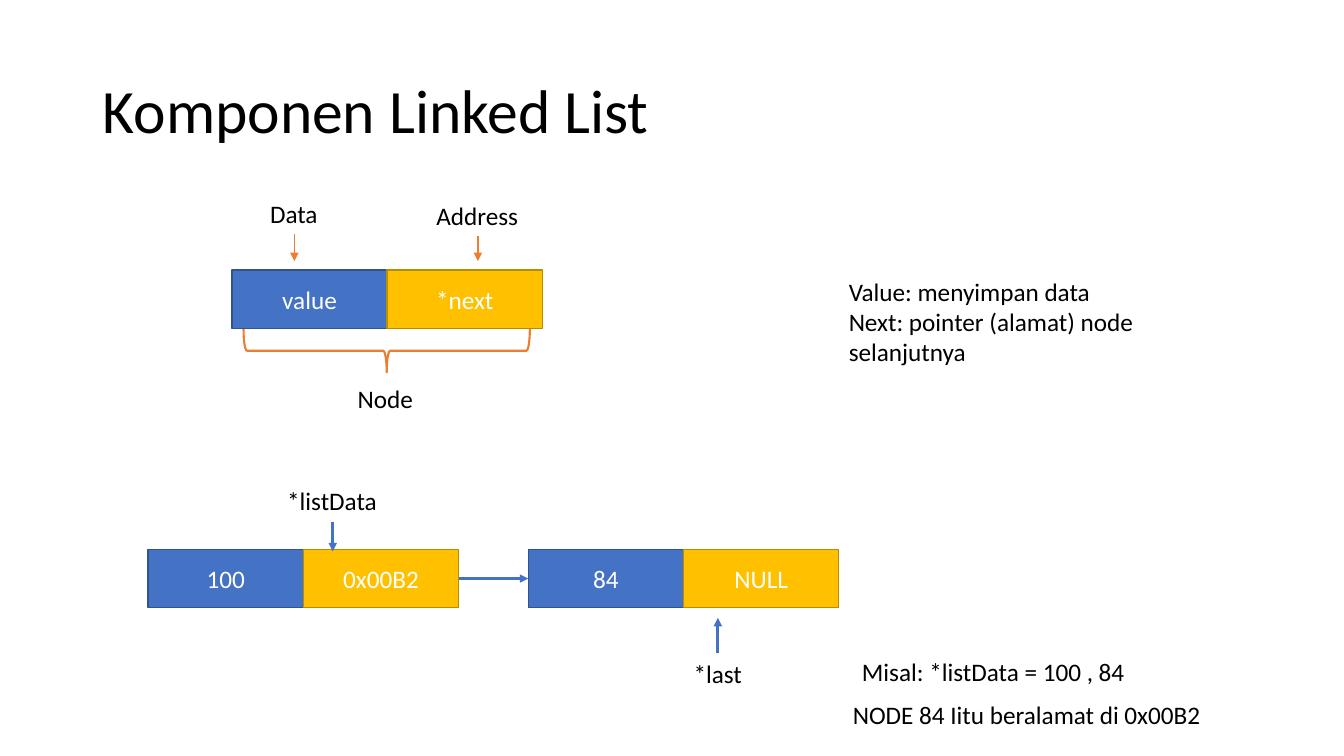
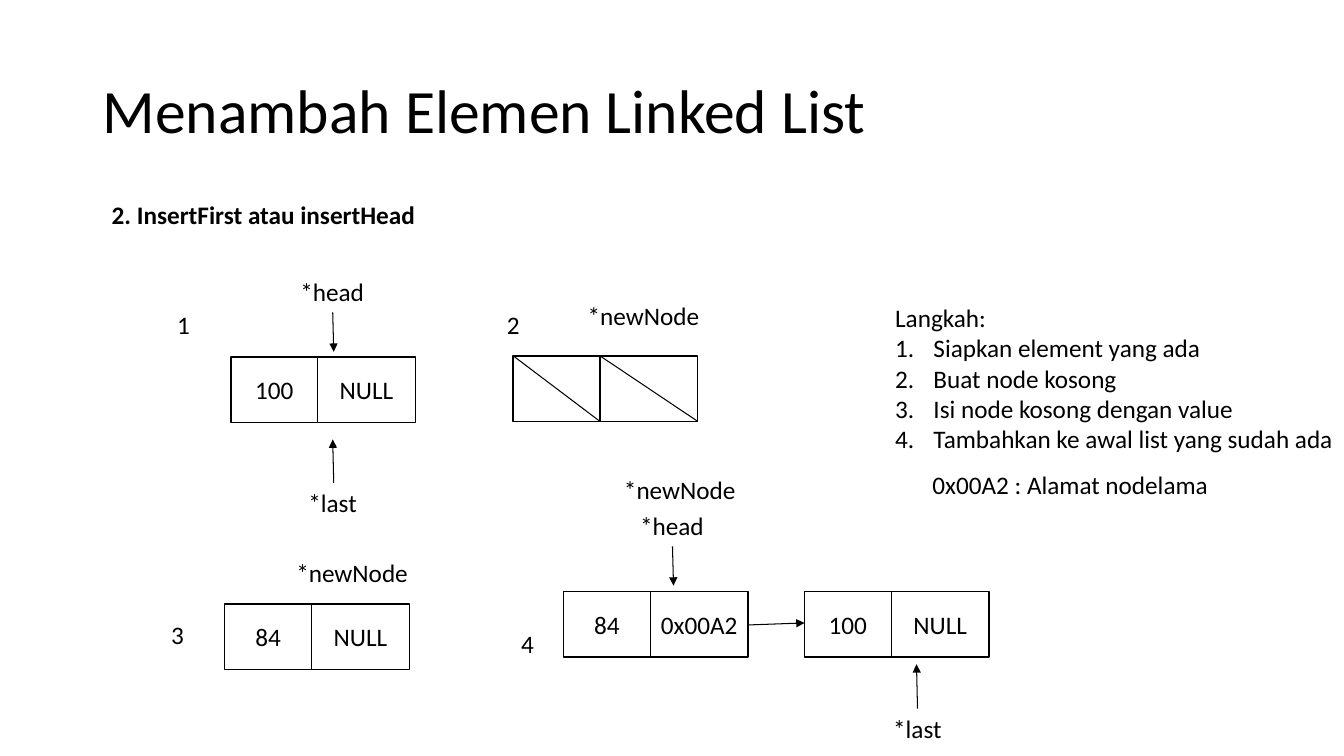
"""Build two slides on linked list components and inserting at the head."""
import pptx
import pptx.dml.color
import pptx.enum.shapes
import pptx.enum.text
import pptx.oxml.ns
import pptx.util
from lxml import etree

Inches = pptx.util.Inches
Pt = pptx.util.Pt
RGBColor = pptx.dml.color.RGBColor
MSO_SHAPE = pptx.enum.shapes.MSO_SHAPE
PP_ALIGN = pptx.enum.text.PP_ALIGN
MSO_ANCHOR = pptx.enum.text.MSO_ANCHOR
MSO_AUTO_SIZE = pptx.enum.text.MSO_AUTO_SIZE
qn = pptx.oxml.ns.qn

BLACK = RGBColor(0x00, 0x00, 0x00)
WHITE = RGBColor(0xFF, 0xFF, 0xFF)
BLUE = RGBColor(0x44, 0x72, 0xC4)
DARK_BLUE = RGBColor(0x31, 0x53, 0x8F)
GOLD = RGBColor(0xFF, 0xC0, 0x00)
DARK_GOLD = RGBColor(0xBA, 0x8C, 0x00)
ORANGE = RGBColor(0xED, 0x7D, 0x31)
FONT = "Calibri"
LABEL_H = 0.4


def add_box(s, x, y, w, h, text, size=18, color=BLACK, bold=False, fill=None, line=None):
    """Add a text box, or a bordered cell with centred text when fill is given."""
    area = Inches(x), Inches(y), Inches(w), Inches(h)
    if fill is None:
        sp = s.shapes.add_textbox(*area)
    else:
        sp = s.shapes.add_shape(MSO_SHAPE.RECTANGLE, *area)
        sp.shadow.inherit = False
        sp.fill.solid()
        sp.fill.fore_color.rgb = fill
        sp.line.color.rgb = line
        sp.line.width = Pt(1)
    tf = sp.text_frame
    tf.text = text
    tf.word_wrap = False
    if fill is None:
        tf.auto_size = MSO_AUTO_SIZE.SHAPE_TO_FIT_TEXT
    else:
        tf.vertical_anchor = MSO_ANCHOR.MIDDLE
    for p in tf.paragraphs:
        p.alignment = PP_ALIGN.LEFT if fill is None else PP_ALIGN.CENTER
        for r in p.runs:
            r.font.name = FONT
            r.font.size = Pt(size)
            r.font.bold = bold
            r.font.color.rgb = color
    return sp


def add_line(s, x1, y1, x2, y2, color=BLACK, width=0.75, arrow=True):
    """Add a straight line, with an arrowhead at its end by default."""
    cx = s.shapes.add_connector(pptx.enum.shapes.MSO_CONNECTOR.STRAIGHT,
                                Inches(x1), Inches(y1), Inches(x2), Inches(y2))
    cx.line.color.rgb = color
    cx.line.width = Pt(width)
    sp_pr = cx._element.spPr
    if arrow:
        etree.SubElement(sp_pr.find(qn("a:ln")), qn("a:tailEnd"), type="triangle")
    etree.SubElement(sp_pr, qn("a:effectLst"))


prs = pptx.Presentation()
prs.slide_width = Inches(13.33)
prs.slide_height = Inches(7.5)

slides = []
for title in ("Komponen Linked List", "Menambah Elemen Linked List"):
    s = prs.slides.add_slide(prs.slide_layouts[6])
    tf = add_box(s, 0.92, 0.4, 11.5, 1.45, title, size=44).text_frame
    tf.auto_size = MSO_AUTO_SIZE.NONE
    tf.word_wrap = True
    tf.vertical_anchor = MSO_ANCHOR.MIDDLE
    tf.paragraphs[0].line_spacing = 0.9
    slides.append(s)
components, insertion = slides

CELL_W, CELL_H = 1.54, 0.58
for x, y, value, address in (
    (2.3, 2.68, "value", "*next"),
    (1.47, 5.45, "100", "0x00B2"),
    (5.24, 5.45, "84", "NULL"),
):
    add_box(components, x, y, CELL_W, CELL_H, value, color=WHITE, fill=BLUE, line=DARK_BLUE)
    add_box(components, x + CELL_W, y, CELL_W, CELL_H, address,
            color=WHITE, fill=GOLD, line=DARK_GOLD)

for x, y, w, text in (
    (3.45, 3.75, 0.76, "Node"),
    (2.58, 1.92, 0.68, "Data"),
    (4.23, 1.94, 1.02, "Address"),
    (2.75, 4.77, 1.1, "*listData"),
    (6.78, 6.48, 0.69, "*last"),
    (8.45, 6.46, 2.84, "Misal: *listData = 100 , 84"),
    (8.36, 6.89, 3.69, "NODE 84 Iitu beralamat di 0x00B2"),
):
    add_box(components, x, y, w, LABEL_H, text)

meaning = add_box(components, 8.32, 2.69, 3.76, 1.01,
                  "Value: menyimpan data\nNext: pointer (alamat) node selanjutnya")
meaning.text_frame.word_wrap = True

for x1, y1, x2, y2, color, width in (
    (2.92, 2.32, 2.92, 2.59, ORANGE, 1),
    (4.74, 2.34, 4.74, 2.59, ORANGE, 1),
    (3.3, 5.18, 3.3, 5.47, BLUE, 2),
    (7.12, 6.48, 7.12, 6.13, BLUE, 2),
    (4.55, 5.74, 5.24, 5.74, BLUE, 2),
):
    add_line(components, x1, y1, x2, y2, color, width)

brace = components.shapes.add_shape(MSO_SHAPE.RIGHT_BRACE, Inches(3.62), Inches(2.06),
                                    Inches(0.43), Inches(2.84))
brace.rotation = 90
brace.adjustments[0] = 0.08
brace.adjustments[1] = 0.5
brace.shadow.inherit = False
brace.fill.background()
brace.line.color.rgb = ORANGE
brace.line.width = Pt(1.5)

VALUE_W, NEXT_W, NODE_H = 0.86, 0.97, 0.65
for x, y, value, address in (
    (2.29, 3.54, "100", "NULL"),
    (5.09, 3.53, "", ""),
    (2.23, 5.99, "84", "NULL"),
    (5.59, 5.87, "84", "0x00A2"),
    (7.98, 5.87, "100", "NULL"),
):
    for left, w, text in ((x, VALUE_W, value), (x + VALUE_W, NEXT_W, address)):
        add_box(insertion, left, y, w, NODE_H, text, fill=WHITE, line=BLACK)
        if not text:
            add_line(insertion, left, y, left + w, y + NODE_H, arrow=False)

for x, y, w, text in (
    (2.88, 2.69, 0.84, "*head"),
    (2.96, 4.79, 0.69, "*last"),
    (5.73, 2.93, 1.32, "*newNode"),
    (2.84, 5.48, 1.32, "*newNode"),
    (6.09, 4.66, 1.32, "*newNode"),
    (6.25, 5.01, 0.84, "*head"),
    (8.76, 7.03, 0.69, "*last"),
    (1.66, 3.02, 0.33, "1"),
    (4.93, 3.02, 0.33, "2"),
    (1.6, 6.09, 0.33, "3"),
    (5.07, 6.18, 0.33, "4"),
    (9.15, 4.61, 2.97, "0x00A2 : Alamat nodelama"),
):
    add_box(insertion, x, y, w, LABEL_H, text)
add_box(insertion, 1.01, 1.93, 3.23, LABEL_H, "2. InsertFirst atau insertHead", bold=True)

for x1, y1, x2, y2 in (
    (3.3, 3.1, 3.31, 3.49),
    (3.31, 4.79, 3.3, 4.36),
    (6.67, 5.42, 6.68, 5.81),
    (9.1, 7.03, 9.09, 6.59),
    (7.42, 6.2, 7.98, 6.18),
):
    add_line(insertion, x1, y1, x2, y2)

steps = add_box(insertion, 8.78, 2.95, 4.59, 1.62, "\n".join((
    "Langkah:",
    "Siapkan element yang ada",
    "Buat node kosong",
    "Isi node kosong dengan value",
    "Tambahkan ke awal list yang sudah ada",
)))
for p in steps.text_frame.paragraphs[1:]:
    p_pr = p._p.get_or_add_pPr()
    p_pr.set("marL", str(Inches(0.38)))
    p_pr.set("indent", str(-Inches(0.38)))
    etree.SubElement(p_pr, qn("a:buFont"), typeface="+mj-lt")
    etree.SubElement(p_pr, qn("a:buAutoNum"), type="arabicPeriod")

prs.save("out.pptx")
